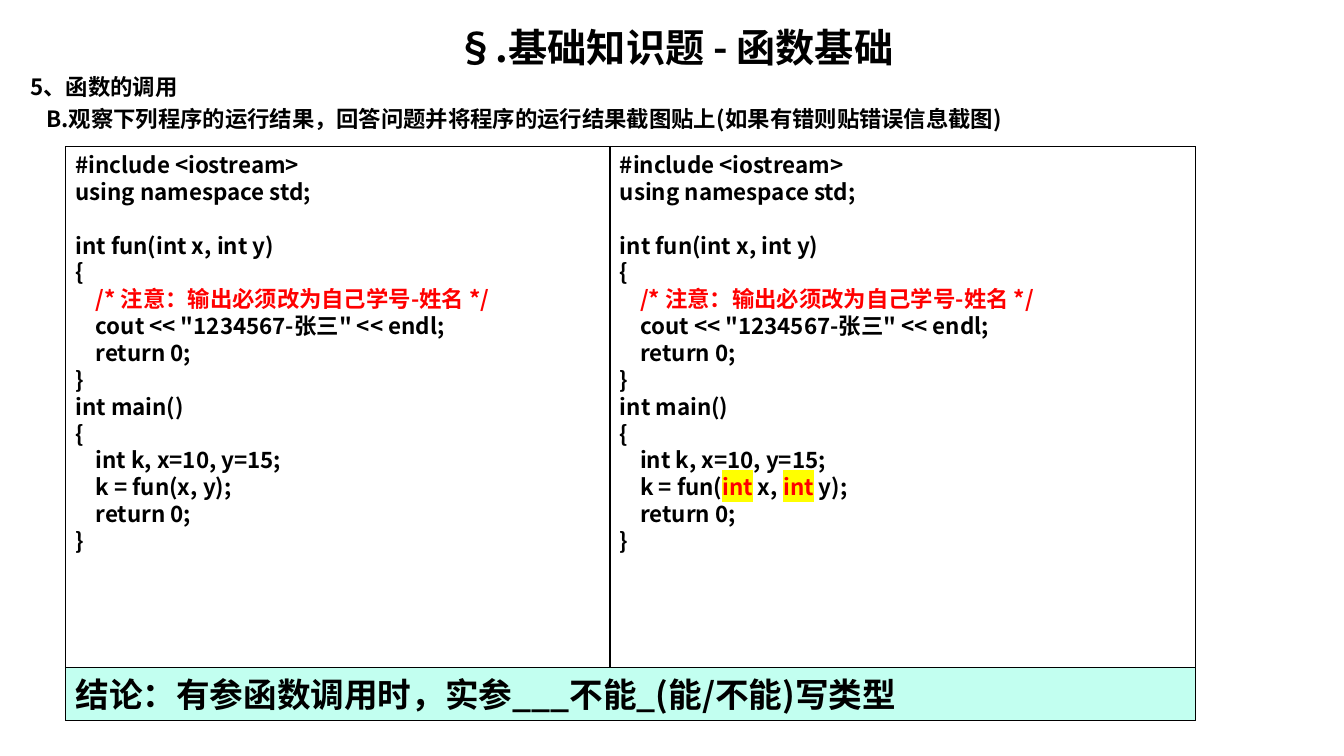
from lxml.etree import SubElement as Sub
from pptx import Presentation
from pptx.dml.color import RGBColor as Rgb
from pptx.enum.shapes import MSO_SHAPE as Kind
from pptx.enum.text import MSO_ANCHOR as Anchor, PP_ALIGN as Align
from pptx.oxml.ns import qn
from pptx.util import Inches, Pt

FONT = "Noto Sans CJK SC"
COLORS = {"ink": "000000", "red": "FF0000", "mark": "FFFF00", "mint": "C2FFF0"}
LEFT, TOP, WIDE, HIGH = 0.65, 1.45, 11.21, 5.7
SPLIT, BAND = 6.05, 0.53

HEAD = ["#include <iostream>", "using namespace std;"]
FUN = [
    "int fun(int x, int y)",
    "{",
    [("    /* 注意：输出必须改为自己学号-姓名 */", "red", None)],
    '    cout << "1234567-张三" << endl;',
    "    return 0;",
    "}",
]
OPEN = ["int main()", "{", "    int k, x=10, y=15;"]
CLOSE = ["    return 0;", "}"]
PLAIN = "    k = fun(x, y);"
TYPED = [
    ("    k = fun(", "ink", None),
    ("int", "red", "mark"),
    (" x, ", "ink", None),
    ("int", "red", "mark"),
    (" y);", "ink", None),
]


def color(name):
    return Rgb.from_string(COLORS[name])


def style(para, size, align=Align.LEFT):
    """Set the bold face shared by all text, with even line pitch."""
    para.alignment = align
    para.line_spacing = Pt(size * 1.2)
    para.space_before = Pt(0)
    font = para.font
    font.size, font.bold, font.name = Pt(size), True, FONT
    font.color.rgb = color("ink")
    Sub(font._element, qn("a:ea"), typeface=FONT)


def add_run(para, text, ink, mark):
    run = para.add_run()
    run.text = text
    run.font.color.rgb = color(ink)
    if mark:
        glow = Sub(run.font._element, qn("a:highlight"))
        Sub(glow, qn("a:srgbClr"), val=COLORS[mark])


def fill_holder(holder, box, lines, size, align):
    """Move a placeholder and write unbulleted (text, indent) lines."""
    holder.left, holder.top, holder.width, holder.height = map(Inches, box)
    frame = holder.text_frame
    frame.word_wrap = True
    frame.vertical_anchor = Anchor.TOP
    for i, (text, indent) in enumerate(lines):
        para = frame.add_paragraph() if i else frame.paragraphs[0]
        props = para._p.get_or_add_pPr()
        props.set("marL", str(Inches(indent)))
        props.set("indent", "0")
        Sub(props, qn("a:buNone"))
        para.text = text
        style(para, size, align)
        if i:
            para.space_before = Pt(size * 0.2)


def add_box(slide, box, lines, size, fill=None, anchor=Anchor.TOP):
    """Draw an outlined box; a line is plain text or a list of runs."""
    shape = slide.shapes.add_shape(Kind.RECTANGLE, *map(Inches, box))
    shape.shadow.inherit = False
    if fill:
        shape.fill.solid()
        shape.fill.fore_color.rgb = color(fill)
    else:
        shape.fill.background()
    shape.line.color.rgb = color("ink")
    shape.line.width = Pt(0.75)
    frame = shape.text_frame
    frame.word_wrap = True
    frame.vertical_anchor = anchor
    for i, line in enumerate(lines):
        para = frame.add_paragraph() if i else frame.paragraphs[0]
        style(para, size)
        runs = [(line, "ink", None)] if isinstance(line, str) else line
        for run in runs:
            add_run(para, *run)
    return frame


def add_code(slide, left, call):
    lines = HEAD + FUN + OPEN + [call] + CLOSE
    box = (left, TOP, LEFT + WIDE - left, HIGH)
    frame = add_box(slide, box, lines, 16)
    # One line of space sets the function apart from the header
    frame.paragraphs[len(HEAD)].space_before = Pt(19.2)


def main():
    deck = Presentation()
    deck.slide_width, deck.slide_height = Inches(13.33), Inches(7.5)
    slide = deck.slides.add_slide(deck.slide_layouts[1])

    # Title and question
    title, body = slide.placeholders
    fill_holder(title, (0.2, 0.18, 12.99, 0.55),
                [("§.基础知识题 - 函数基础", 0)], 28, Align.CENTER)
    fill_holder(body, (0.2, 0.68, 12.99, 0.72), [
        ("5、函数的调用", 0),
        ("B.观察下列程序的运行结果，回答问题并将程序的运行结果截图贴上"
         "(如果有错则贴错误信息截图)", 0.16),
    ], 16, Align.LEFT)

    # Two programs side by side
    add_code(slide, LEFT, PLAIN)
    add_code(slide, SPLIT, TYPED)

    # Conclusion
    add_box(slide, (LEFT, TOP + HIGH - BAND, WIDE, BAND),
            ["结论：有参函数调用时，实参___不能_(能/不能)写类型"],
            24, "mint", Anchor.MIDDLE)

    deck.save("out.pptx")


if __name__ == "__main__":
    main()
